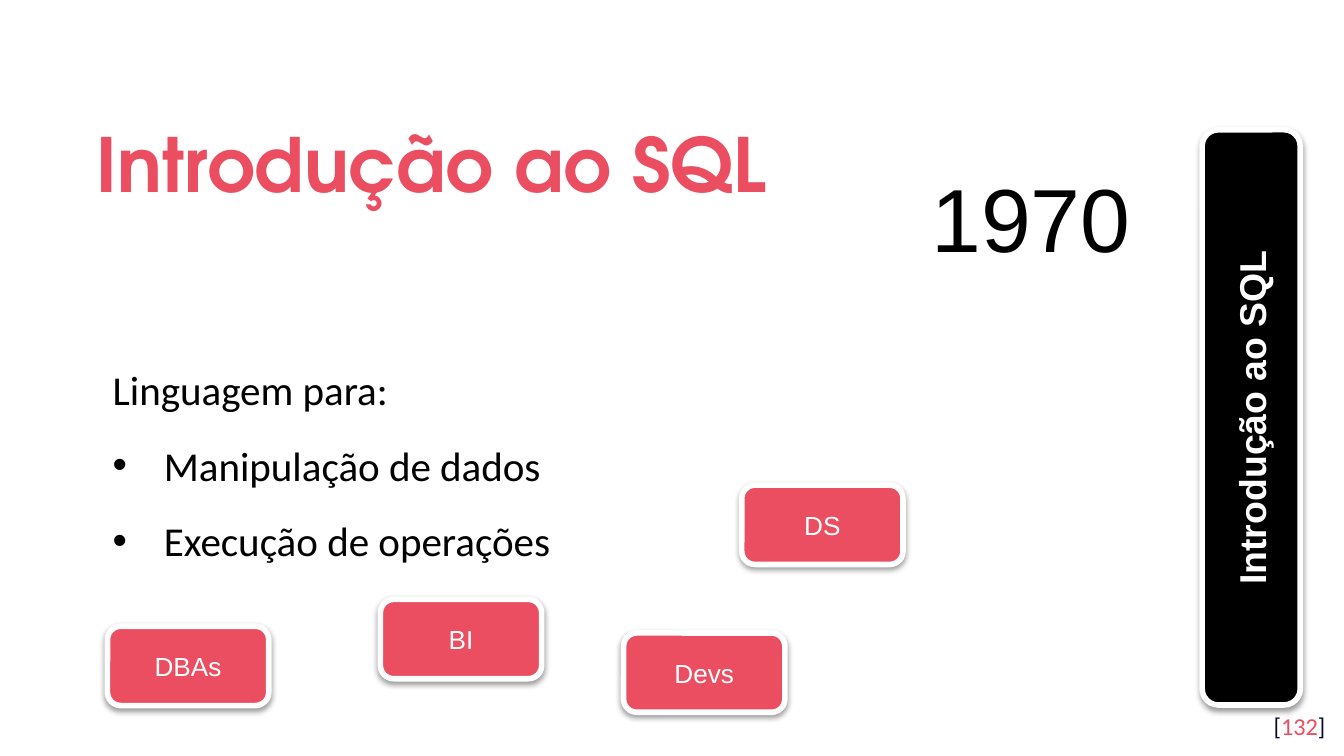
from typing import NamedTuple

from lxml import etree
from pptx import Presentation
from pptx.dml.color import RGBColor
from pptx.enum.shapes import MSO_SHAPE
from pptx.enum.text import MSO_ANCHOR, MSO_AUTO_SIZE, PP_ALIGN
from pptx.oxml.ns import qn
from pptx.util import Pt

ROUNDED = MSO_SHAPE.ROUNDED_RECTANGLE
TOP, MIDDLE = MSO_ANCHOR.TOP, MSO_ANCHOR.MIDDLE
LEFT, CENTER, RIGHT, JUSTIFY = PP_ALIGN.LEFT, PP_ALIGN.CENTER, PP_ALIGN.RIGHT, PP_ALIGN.JUSTIFY
NO_FIT = MSO_AUTO_SIZE.NONE
RED, BLACK, WHITE, NAVY = "EA4E60", "000000", "FFFFFF", "040A24"
INDENT = Pt(27.4)


class Box(NamedTuple):
    x: float
    y: float
    w: float
    h: float


class Card(NamedTuple):
    text: str
    box: Box
    fill: str = RED
    size: float = 14
    bold: bool = False
    rotation: float = 0


CARD_W, CARD_H = 86.4, 42.5
CARDS = [
    Card("Introdução ao SQL", Box(516.2, 197.3, 308.2, 52.6), BLACK, 20, True, 270),
    Card("DBAs", Box(57.6, 335.5, CARD_W, CARD_H)),
    Card("BI", Box(203.8, 321.1, CARD_W, CARD_H)),
    Card("Devs", Box(334.1, 339.1, CARD_W, CARD_H)),
    Card("DS", Box(397.4, 259.9, CARD_W, CARD_H)),
]


def rgb(color: str) -> RGBColor:
    return RGBColor.from_string(color)


def set_frame(tf, anchor=TOP, inset=None):
    tf.word_wrap = True
    tf.auto_size = NO_FIT
    tf.vertical_anchor = anchor
    if inset is not None:
        tf.margin_left = tf.margin_right = Pt(inset)
        tf.margin_top = tf.margin_bottom = Pt(inset)


def add_text(p, text, *, size, font="Arial", color=BLACK, bold=False, align=LEFT, spacing=None):
    p.alignment = align
    if spacing:
        p.line_spacing = spacing
    r = p.add_run()
    r.text = text
    r.font.size = Pt(size)
    r.font.name = font
    r.font.bold = bold
    r.font.color.rgb = rgb(color)


def add_box(slide, box: Box, **frame):
    sp = slide.shapes.add_textbox(*map(Pt, box))
    set_frame(sp.text_frame, **frame)
    return sp.text_frame


def add_bullet(p):
    pPr = p._p.get_or_add_pPr()
    pPr.set("marL", str(INDENT))
    pPr.set("indent", str(-INDENT))
    font = etree.SubElement(pPr, qn("a:buFont"))
    font.set("typeface", "Arial")
    etree.SubElement(pPr, qn("a:buChar")).set("char", "•")


def add_shadow(sp):
    sp.shadow.inherit = False
    effects = sp._element.spPr.find(qn("a:effectLst"))
    shadow = etree.SubElement(effects, qn("a:outerShdw"), blurRad=str(Pt(3.1)),
                              dist=str(Pt(1.6)), dir="5400000", rotWithShape="0")
    color = etree.SubElement(shadow, qn("a:srgbClr"), val=BLACK)
    etree.SubElement(color, qn("a:alpha"), val="38000")


def add_card(slide, card: Card):
    sp = slide.shapes.add_shape(ROUNDED, *map(Pt, card.box))
    sp.rotation = card.rotation
    sp.fill.solid()
    sp.fill.fore_color.rgb = rgb(card.fill)
    sp.line.color.rgb = rgb(WHITE)
    sp.line.width = Pt(3)
    add_shadow(sp)
    set_frame(sp.text_frame, anchor=MIDDLE)
    add_text(sp.text_frame.paragraphs[0], card.text, size=card.size, color=WHITE,
             bold=card.bold, align=CENTER)


def add_title(slide, text: str, box: Box):
    sp = slide.shapes.title
    sp.left, sp.top, sp.width, sp.height = map(Pt, box)
    set_frame(sp.text_frame, anchor=MIDDLE, inset=7.2)
    add_text(sp.text_frame.paragraphs[0], text, size=40, font="TeX Gyre Adventor",
             color=RED, bold=True, spacing=1.15)


def add_body(slide, intro: str, items: list[str], box: Box):
    tf = add_box(slide, box, anchor=MIDDLE, inset=7.2)
    style = dict(size=22, font="Calibri", align=JUSTIFY, spacing=1.15)
    add_text(tf.paragraphs[0], intro, **style)
    for item in items:
        p = tf.add_paragraph()
        p.line_spacing = 1.15
        p.space_before = Pt(10)
        add_bullet(p)
        add_text(p, item, **style)


def main():
    """Build the SQL introduction slide."""
    prs = Presentation()
    prs.slide_width, prs.slide_height = Pt(720), Pt(405)
    slide = prs.slides.add_slide(prs.slide_layouts[5])
    add_title(slide, "Introdução ao SQL", Box(44.6, 50.4, 562.3, 66.2))
    number = add_box(slide, Box(673.9, 373.7, 43.2, 31), inset=7.2).paragraphs[0]
    for text, color in (("[", NAVY), ("132", RED), ("]", NAVY)):
        add_text(number, text, size=13, font="Calibri", color=color, align=RIGHT)
    add_body(slide, "Linguagem para:", ["Manipulação de dados", "Execução de operações"],
             Box(53.3, 130.3, 533.5, 233.3))
    year = add_box(slide, Box(491.8, 83.5, 124.6, 65.5))
    add_text(year.paragraphs[0], "1970", size=48)
    for card in CARDS:
        add_card(slide, card)
    prs.save("out.pptx")


if __name__ == "__main__":
    main()
